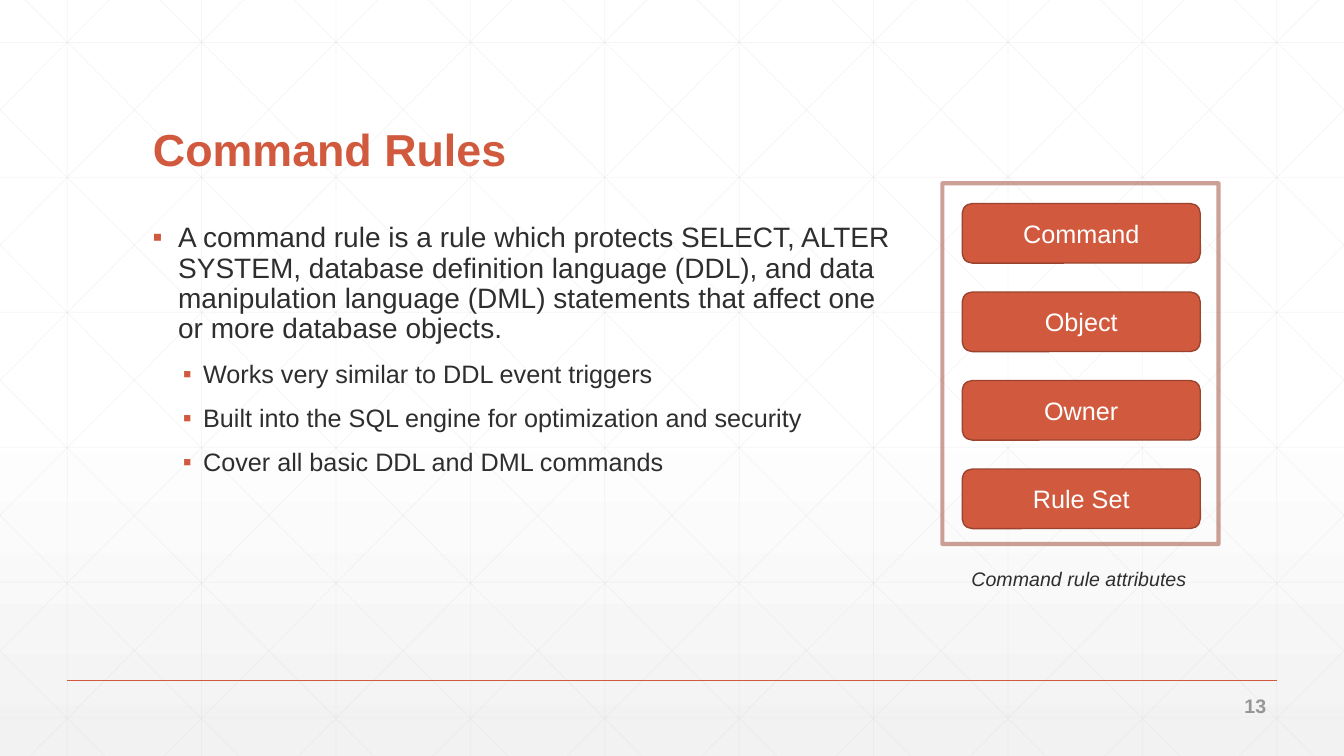
from lxml.etree import SubElement
from pptx import Presentation
from pptx.dml.color import RGBColor
from pptx.enum.shapes import MSO_CONNECTOR, MSO_SHAPE
from pptx.enum.text import MSO_ANCHOR as Anchor, MSO_AUTO_SIZE as AutoSize, PP_ALIGN as Align
from pptx.oxml.ns import qn
from pptx.util import Cm, Pt

ORANGE = RGBColor(0xD1, 0x5A, 0x3E)
RUST = RGBColor(0x9B, 0x43, 0x2E)
INK = RGBColor(0x2D, 0x2E, 0x2D)
GRAY = RGBColor(0x95, 0x97, 0x95)
GRID = RGBColor(0xD9, 0xD9, 0xD9)
PALE = RGBColor(0xF2, 0xF2, 0xF2)
WHITE = RGBColor(0xFF, 0xFF, 0xFF)

WIDTH, HEIGHT = 33.87, 19.05
GRID_STEP = WIDTH / 10
DIAGONAL_START, DIAGONAL_RUN = 0.64, 18.93

RULE_TEXT = (
    "A command rule is a rule which protects SELECT, ALTER SYSTEM, database "
    "definition language (DDL), and data manipulation language (DML) statements "
    "that affect one or more database objects."
)
RULE_POINTS = [
    "Works very similar to DDL event triggers",
    "Built into the SQL engine for optimization and security",
    "Cover all basic DDL and DML commands",
]
ATTRIBUTES = ["Command", "Object", "Owner", "Rule Set"]

MAIN_BULLET = {"size": 20, "before": 18, "margin": 0.64, "hanging": 0.64}
SUB_BULLET = {"size": 18, "before": 12, "margin": 1.27, "hanging": 0.51}


def apply(target, values):
    """Set every attribute named in a dict of format values."""
    for name, value in values.items():
        setattr(target, name, value)


class SlideBuilder:
    """Holds the style and the current slide."""

    def __init__(self, slide, font="Arial"):
        self.slide = slide
        self.shapes = slide.shapes
        self.font = font

    def background(self, top, bottom, start):
        """Fill the background with a vertical gradient beginning at start."""
        fill = self.slide.background.fill
        fill.gradient()
        fill.gradient_angle = 270
        stops = zip(fill.gradient_stops, (top, bottom), (start, 1))
        for stop, color, position in stops:
            stop.color.rgb = color
            stop.position = position

    def set_opacity(self, shape, percent):
        """Make the single RGB colour of a shape partly transparent."""
        for color in shape.element.iter(qn("a:srgbClr")):
            SubElement(color, qn("a:alpha"), val=str(percent * 1000))

    def outline(self, shape, color, width):
        """Set the line colour and width of a shape."""
        shape.line.color.rgb = color
        shape.line.width = Pt(width)

    def line(self, x1, y1, x2, y2, color, width, opacity=None):
        """Draw a straight line without shadow."""
        ends = [Cm(value) for value in (x1, y1, x2, y2)]
        connector = self.shapes.add_connector(MSO_CONNECTOR.STRAIGHT, *ends)
        self.outline(connector, color, width)
        if opacity:
            self.set_opacity(connector, opacity)
        SubElement(connector.element.spPr, qn("a:effectLst"))

    def box(self, kind, area, color, width):
        """Add an unfilled preset shape with an outline."""
        shape = self.shapes.add_shape(kind, *map(Cm, area))
        shape.shadow.inherit = False
        shape.fill.background()
        self.outline(shape, color, width)
        return shape

    def add_text(self, paragraph, text, size, color, align=Align.LEFT, **styles):
        """Fill a paragraph with one formatted run."""
        paragraph.alignment = align
        run = paragraph.add_run()
        run.text = text
        run.font.color.rgb = color
        apply(run.font, {"name": self.font, "size": Pt(size), **styles})

    def title(self, text, area):
        """Move and format the title placeholder, and bring it to the front."""
        title = self.shapes.title
        apply(title, dict(zip(("left", "top", "width", "height"), map(Cm, area))))
        frame = title.text_frame
        apply(frame, {"vertical_anchor": Anchor.BOTTOM, "auto_size": AutoSize.NONE})
        paragraph = frame.paragraphs[0]
        paragraph.line_spacing = 0.9
        self.add_text(paragraph, text, 32, ORANGE, bold=True)
        title.element.getparent().append(title.element)

    def text_frame(self, area, wrap=True, anchor=Anchor.TOP):
        """Add a text box and return its text frame."""
        frame = self.shapes.add_textbox(*map(Cm, area)).text_frame
        apply(frame, {"word_wrap": wrap, "vertical_anchor": anchor})
        return frame

    def bullet(self, paragraph, text, level, style):
        """Fill a paragraph with a square bullet and hanging indent."""
        spacing = {"level": level, "line_spacing": 0.9, "space_before": Pt(style["before"])}
        apply(paragraph, spacing)
        self.add_text(paragraph, text, style["size"], INK)
        properties = paragraph._p.get_or_add_pPr()
        properties.set("marL", str(Cm(style["margin"])))
        properties.set("indent", str(-Cm(style["hanging"])))
        bullet_color = SubElement(properties, qn("a:buClr"))
        SubElement(bullet_color, qn("a:srgbClr"), val=str(ORANGE))
        SubElement(properties, qn("a:buFont"), typeface=self.font)
        SubElement(properties, qn("a:buChar"), char="▪")

    def button(self, text, area):
        """Add a filled rounded box with centred text."""
        shape = self.box(MSO_SHAPE.ROUNDED_RECTANGLE, area, RUST, 1)
        shape.fill.solid()
        shape.fill.fore_color.rgb = ORANGE
        shape.text_frame.vertical_anchor = Anchor.MIDDLE
        self.add_text(shape.text_frame.paragraphs[0], text, 18, WHITE, Align.CENTER)

    def grid(self):
        """Draw the faint square grid and its mirrored diagonals."""
        style = {"color": GRID, "width": 0.5, "opacity": 25}
        for column in range(10):
            x = GRID_STEP * (column + 0.5)
            self.line(x, 0, x, HEIGHT, **style)
        for row in range(6):
            y = 1.07 + 3.4 * row
            self.line(0, y, WIDTH, y, **style)
        for index in range(-5, 10):
            origin = DIAGONAL_START + GRID_STEP * index
            x1, x2 = max(origin, 0), min(origin + DIAGONAL_RUN, WIDTH)
            y1, y2 = [(x - origin) * HEIGHT / DIAGONAL_RUN for x in (x1, x2)]
            self.line(x1, y1, x2, y2, **style)
            self.line(WIDTH - x1, y1, WIDTH - x2, y2, **style)


def main():
    """Build the command rules slide."""
    presentation = Presentation()
    apply(presentation, {"slide_width": Cm(WIDTH), "slide_height": Cm(HEIGHT)})
    slide = presentation.slides.add_slide(presentation.slide_layouts[5])
    builder = SlideBuilder(slide)

    builder.background(WHITE, PALE, 0.53)
    builder.grid()
    builder.line(1.69, 17.15, 32.18, 17.15, ORANGE, 1)
    builder.title("Command Rules", (3.6, 1.4, 26.67, 3.18))

    body = builder.text_frame((3.6, 5.51, 19.46, 10.59))
    builder.bullet(body.paragraphs[0], RULE_TEXT, 0, MAIN_BULLET)
    for point in RULE_POINTS:
        builder.bullet(body.add_paragraph(), point, 1, SUB_BULLET)

    number = builder.text_frame((29.62, 17.48, 2.54, 0.61), anchor=Anchor.MIDDLE)
    builder.add_text(number.paragraphs[0], "13", 14, GRAY, Align.RIGHT, bold=True)

    frame = builder.box(MSO_SHAPE.RECTANGLE, (23.75, 4.62, 6.96, 9.09), RUST, 3)
    builder.set_opacity(frame, 50)
    for index, attribute in enumerate(ATTRIBUTES):
        builder.button(attribute, (24.25, 5.13 + 2.23 * index, 6, 1.5))

    caption = builder.text_frame((24.23, 14.17, 5.94, 0.86), wrap=False)
    builder.add_text(caption.paragraphs[0], "Command rule attributes", 14, INK, italic=True)

    presentation.save("out.pptx")


main()
